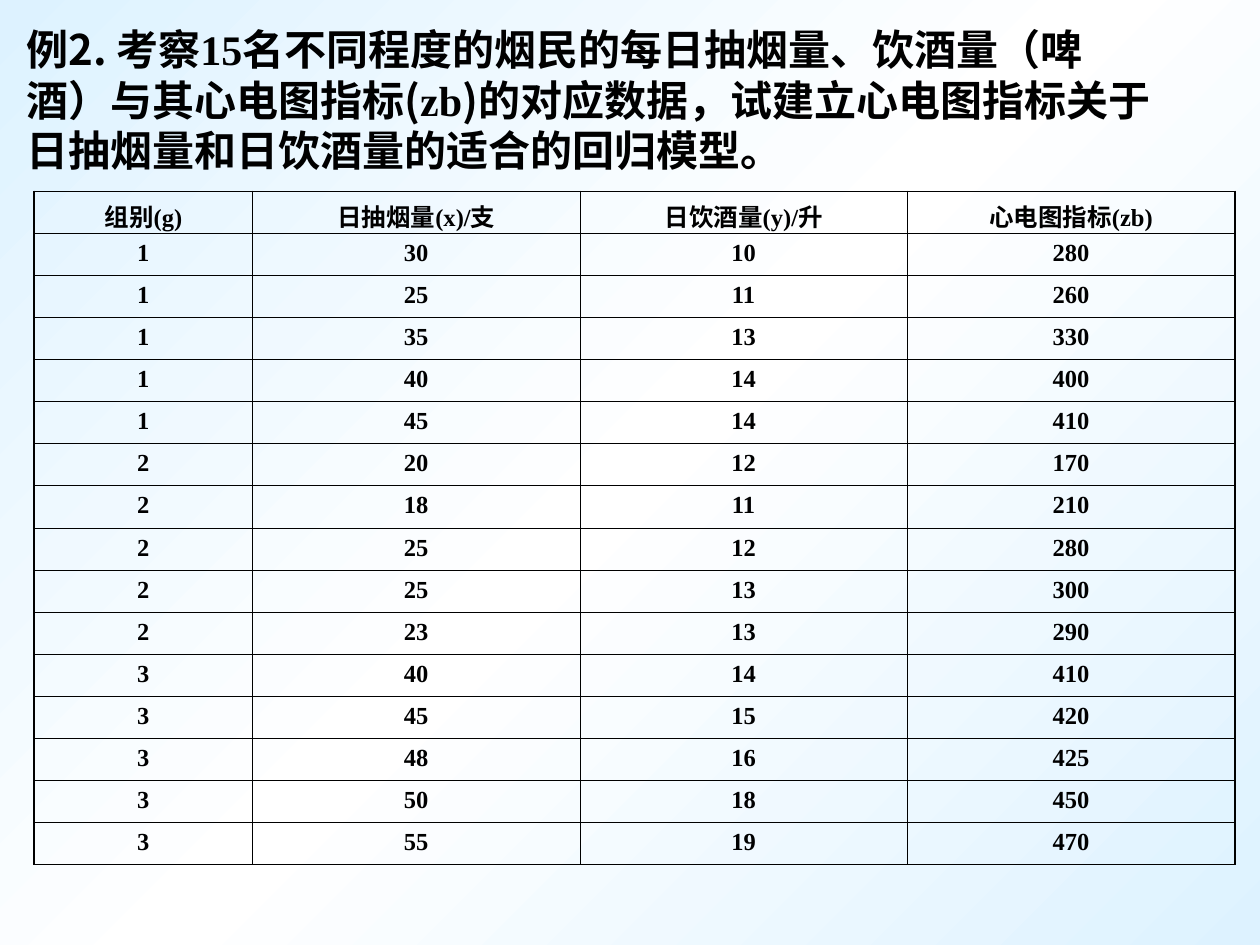
from typing import NamedTuple

import lxml.etree
import pptx
import pptx.dml.color
import pptx.enum.text
import pptx.oxml
import pptx.oxml.ns
import pptx.util

Cm, Pt = pptx.util.Cm, pptx.util.Pt
qn = pptx.oxml.ns.qn

COLORS = {"ink": "000000", "edge": "DDF2FF", "middle": "FFFFFF"}
CHINESE, LATIN = "Noto Sans CJK SC", "Times New Roman"
THICK, THIN = 1.08, 0.45
ROW_HEIGHT = Cm(13.54 / 16)


class Phrase(NamedTuple):
    text: str
    typeface: str


class Column(NamedTuple):
    heading: str
    width: float


class Observation(NamedTuple):
    group: int
    cigarettes: int
    beer: int
    ecg: int


QUESTION = [
    Phrase("例2. 考察", CHINESE),
    Phrase("15", LATIN),
    Phrase("名不同程度的烟民的每日抽烟量、饮酒量（啤酒）与其心电图指标(", CHINESE),
    Phrase("zb", LATIN),
    Phrase(")的对应数据，试建立心电图指标关于日抽烟量和日饮酒量的适合的回归模型。", CHINESE),
]
COLUMNS = [
    Column("组别(g)", 4.4),
    Column("日抽烟量(x)/支", 6.6),
    Column("日饮酒量(y)/升", 6.6),
    Column("心电图指标(zb)", 6.6),
]
OBSERVATIONS = [
    Observation(1, 30, 10, 280),
    Observation(1, 25, 11, 260),
    Observation(1, 35, 13, 330),
    Observation(1, 40, 14, 400),
    Observation(1, 45, 14, 410),
    Observation(2, 20, 12, 170),
    Observation(2, 18, 11, 210),
    Observation(2, 25, 12, 280),
    Observation(2, 25, 13, 300),
    Observation(2, 23, 13, 290),
    Observation(3, 40, 14, 410),
    Observation(3, 45, 15, 420),
    Observation(3, 48, 16, 425),
    Observation(3, 50, 18, 450),
    Observation(3, 55, 19, 470),
]


def set_typeface(font, latin: str) -> None:
    """Set the Latin typeface and the Chinese one beside it."""
    font.name = latin
    lxml.etree.SubElement(font._rPr, qn("a:ea")).set("typeface", CHINESE)


def set_bold_ink(font, size: float) -> None:
    font.size = Pt(size)
    font.bold = True
    font.color.rgb = pptx.dml.color.RGBColor.from_string(COLORS["ink"])


def paint_background(slide) -> None:
    stops = "".join(
        f'<a:gs pos="{position * 1000}"><a:srgbClr val="{COLORS[color]}"/></a:gs>'
        for position, color in [(0, "edge"), (50, "middle"), (100, "edge")]
    )
    background = pptx.oxml.parse_xml(
        f'<p:bg {pptx.oxml.ns.nsdecls("p", "a")}><p:bgPr><a:gradFill>'
        f'<a:gsLst>{stops}</a:gsLst><a:lin ang="2700000" scaled="0"/>'
        "</a:gradFill><a:effectLst/></p:bgPr></p:bg>"
    )
    slide.element.cSld.insert(0, background)


def write_question(title) -> None:
    title.left, title.top = Cm(0.28), Cm(0.28)
    title.width, title.height = Cm(23.4), Cm(3.3)
    frame = title.text_frame
    frame.word_wrap = True
    frame.auto_size = pptx.enum.text.MSO_AUTO_SIZE.SHAPE_TO_FIT_TEXT
    frame.vertical_anchor = pptx.enum.text.MSO_ANCHOR.TOP
    frame.margin_left = frame.margin_right = Cm(0.25)
    frame.margin_top, frame.margin_bottom = Cm(0.2), Cm(0.05)
    paragraph = frame.paragraphs[0]
    paragraph.alignment = pptx.enum.text.PP_ALIGN.LEFT
    paragraph.line_spacing = Pt(28.8)
    set_bold_ink(paragraph.font, 24)
    for phrase in QUESTION:
        run = paragraph.add_run()
        run.text = phrase.text
        set_typeface(run.font, phrase.typeface)


def draw_borders(cell, widths: dict[str, float]) -> None:
    properties = cell._tc.get_or_add_tcPr()
    for side, width in widths.items():
        line = lxml.etree.SubElement(properties, qn(f"a:ln{side}"), w=str(Pt(width)))
        fill = lxml.etree.SubElement(line, qn("a:solidFill"))
        lxml.etree.SubElement(fill, qn("a:srgbClr"), val=COLORS["ink"])


def write_cell(cell, text: str) -> None:
    cell.text = text
    paragraph = cell.text_frame.paragraphs[0]
    paragraph.alignment = pptx.enum.text.PP_ALIGN.CENTER
    set_bold_ink(paragraph.font, 14)
    set_typeface(paragraph.font, LATIN)


def add_observations(slide) -> None:
    rows = [[column.heading for column in COLUMNS], *OBSERVATIONS]
    last_row, last_column = len(rows) - 1, len(COLUMNS) - 1
    table = slide.shapes.add_table(
        len(rows), len(COLUMNS), Cm(0.69), Cm(3.86),
        Cm(sum(column.width for column in COLUMNS)), ROW_HEIGHT * len(rows),
    ).table
    table.first_row = table.horz_banding = False
    for table_column, column in zip(table.columns, COLUMNS):
        table_column.width = Cm(column.width)
    for r, values in enumerate(rows):
        table.rows[r].height = ROW_HEIGHT
        for c, value in enumerate(values):
            cell = table.cell(r, c)
            write_cell(cell, str(value))
            # Thick outer frame, thin inner grid
            draw_borders(cell, {
                "L": THICK if c == 0 else THIN,
                "R": THICK if c == last_column else THIN,
                "T": THICK if r == 0 else THIN,
                "B": THICK if r == last_row else THIN,
            })
            cell.fill.background()
            if r == 0:
                cell.margin_bottom = 0  # room for the taller Chinese headings


def main() -> None:
    presentation = pptx.Presentation()
    presentation.slide_width, presentation.slide_height = Cm(25.4), Cm(19.05)
    slide = presentation.slides.add_slide(presentation.slide_layouts[5])
    paint_background(slide)
    write_question(slide.shapes.title)
    add_observations(slide)
    presentation.save("out.pptx")


if __name__ == "__main__":
    main()
